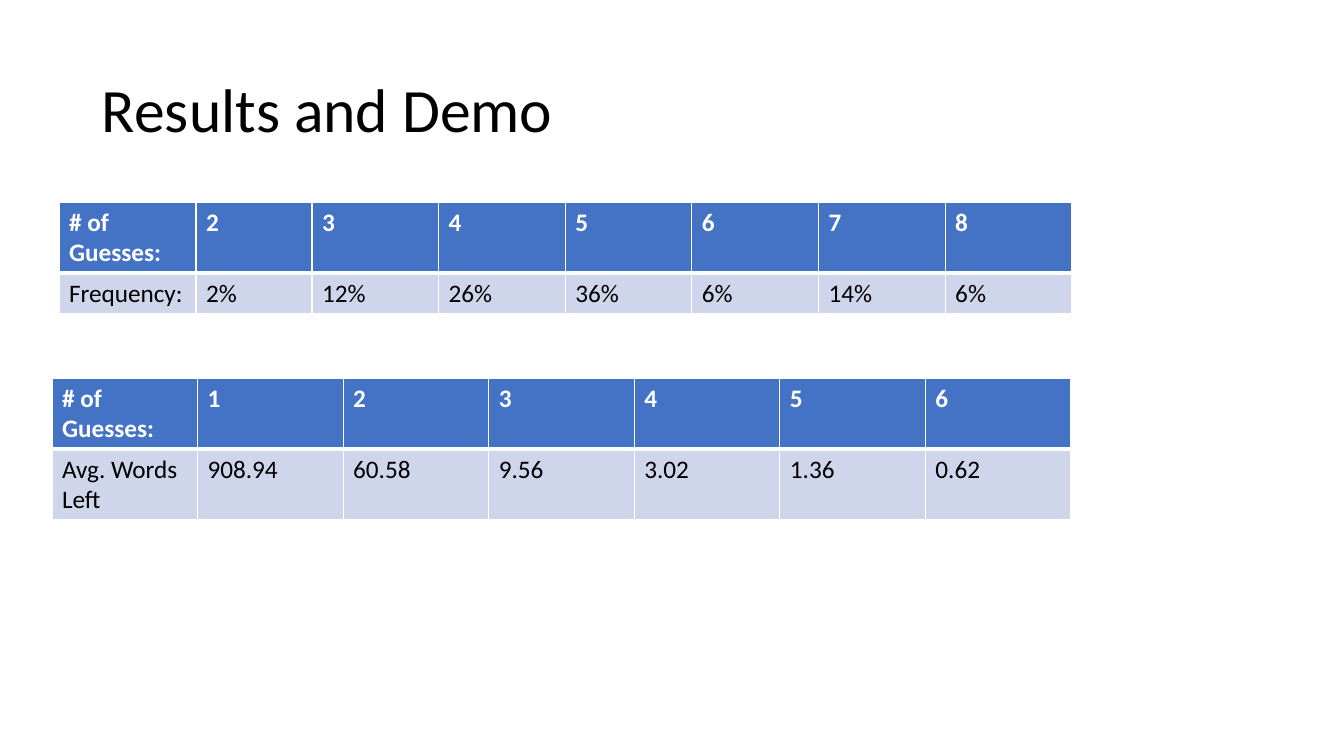
from lxml.etree import SubElement
from pptx import Presentation
from pptx.dml.color import RGBColor
from pptx.enum.text import MSO_ANCHOR
from pptx.oxml.ns import qn
from pptx.util import Emu, Pt

# Content
TITLE = "Results and Demo"
TITLE_BOX = (92, 40, 1159, 146)
# Columns without a fixed width share the rest of the table equally
RESULTS = [
    {
        "place": (59, 202, 1013), "fixed_columns": [137, 116], "row_heights": [71, 41],
        "rows": [
            ["# of Guesses:", "2", "3", "4", "5", "6", "7", "8"],
            ["Frequency:", "2%", "12%", "26%", "36%", "6%", "14%", "6%"],
        ],
    },
    {
        "place": (52, 378, 1019), "fixed_columns": [], "row_heights": [71, 71],
        "rows": [
            ["# of Guesses:", "1", "2", "3", "4", "5", "6"],
            ["Avg. Words Left", "908.94", "60.58", "9.56", "3.02", "1.36", "0.62"],
        ],
    },
]
FONT = "Calibri"
BLACK, WHITE, BLUE, PALE_BLUE = "000000", "FFFFFF", "4472C4", "CFD5EA"
# Fill, text colour, bold and border widths in points for each row
ROW_STYLES = [
    (BLUE, WHITE, True, {"lnL": 1, "lnR": 1, "lnT": 1, "lnB": 3}),
    (PALE_BLUE, BLACK, False, {"lnL": 1, "lnR": 1, "lnT": 3, "lnB": 1}),
]


def px(length):
    return Emu(round(length * 914400 / 100.8))


def color(hex_code):
    return RGBColor.from_string(hex_code)


def write(frame, text, size, hex_code, bold=False):
    run = frame.paragraphs[0].add_run()
    run.text = text
    run.font.name = FONT
    run.font.size = Pt(size)
    run.font.bold = bold
    run.font.color.rgb = color(hex_code)


def set_borders(cell, widths):
    properties = cell._tc.get_or_add_tcPr()
    for position, (side, width) in enumerate(widths.items()):
        border = SubElement(properties, qn(f"a:{side}"), w=str(Pt(width)))
        line_fill = SubElement(border, qn("a:solidFill"))
        SubElement(line_fill, qn("a:srgbClr"), val=WHITE)
        properties.insert(position, border)


def add_results(slide, place, fixed_columns, row_heights, rows):
    left, top, width = place
    column_count = len(rows[0])
    shared_count = column_count - len(fixed_columns)
    shared_width = (width - sum(fixed_columns)) / shared_count
    table = slide.shapes.add_table(
        len(rows), column_count, px(left), px(top), px(width), px(sum(row_heights))
    ).table
    for column, column_width in zip(table.columns, fixed_columns + [shared_width] * shared_count):
        column.width = px(column_width)
    for row, height, texts, style in zip(table.rows, row_heights, rows, ROW_STYLES):
        row.height = px(height)
        fill, text_color, bold, borders = style
        for cell, text in zip(row.cells, texts):
            cell.fill.solid()
            cell.fill.fore_color.rgb = color(fill)
            set_borders(cell, borders)
            write(cell.text_frame, text, 18, text_color, bold)


# Slide
presentation = Presentation()
presentation.slide_width, presentation.slide_height = px(1344), px(756)
slide = presentation.slides.add_slide(presentation.slide_layouts[6])

# Title
title = slide.shapes.add_textbox(*map(px, TITLE_BOX)).text_frame
title.word_wrap = True
title.vertical_anchor = MSO_ANCHOR.MIDDLE
title.paragraphs[0].line_spacing = 0.9
write(title, TITLE, 44, BLACK)

# Tables
for result in RESULTS:
    add_results(slide, **result)

presentation.save("out.pptx")
